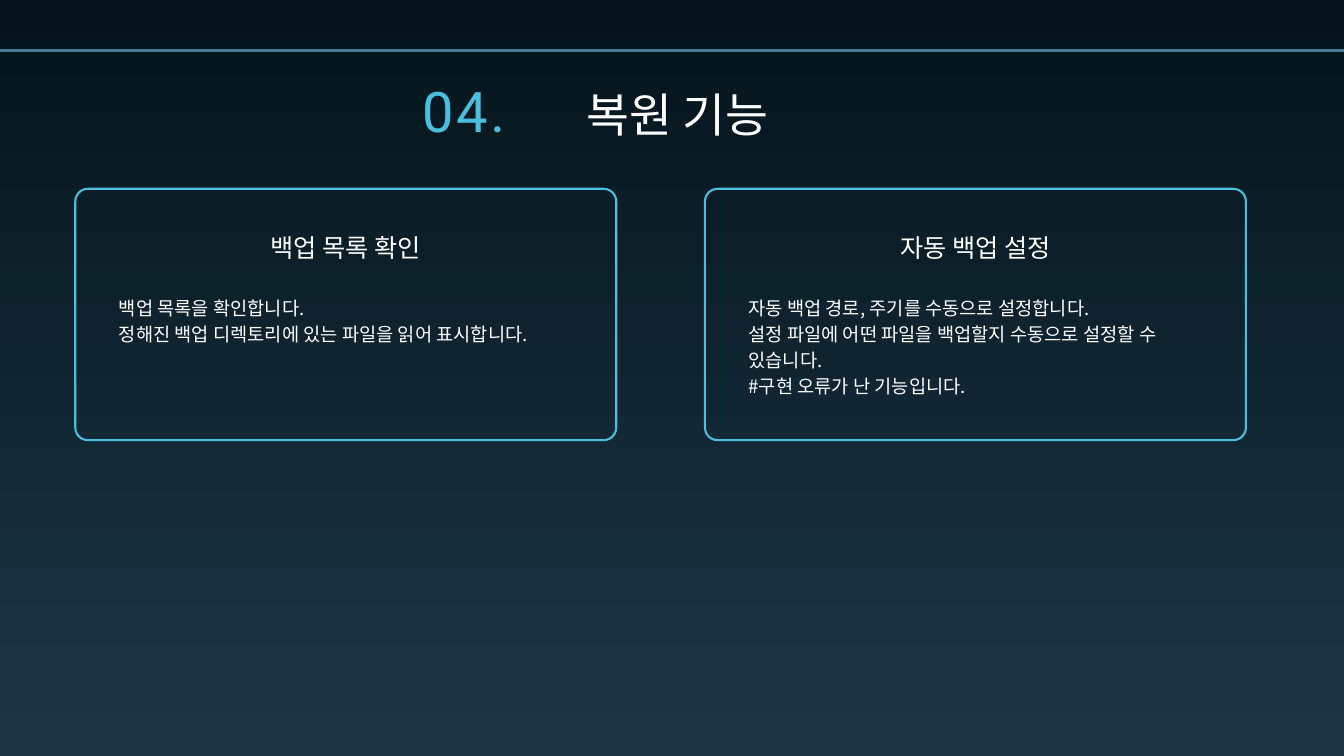
from lxml import etree
from pptx import Presentation
from pptx.dml.color import RGBColor
from pptx.enum.shapes import MSO_CONNECTOR, MSO_SHAPE
from pptx.enum.text import MSO_ANCHOR, MSO_AUTO_SIZE, PP_ALIGN
from pptx.oxml.ns import qn
from pptx.util import Inches, Pt

LEFT, CENTER = PP_ALIGN.LEFT, PP_ALIGN.CENTER
TOP = MSO_ANCHOR.TOP
FIXED = MSO_AUTO_SIZE.NONE
STRAIGHT = MSO_CONNECTOR.STRAIGHT
ROUND = MSO_SHAPE.ROUNDED_RECTANGLE

COLORS = {
    "top": "05141C",
    "base": "1C3645",
    "rule": "497B97",
    "cyan": "4AC0DE",
    "white": "FFFFFF",
}
HEAD_FONT = "Noto Sans CJK KR"
BODY_FONT = "Noto Sans CJK SC"
NUM_FONT = "Roboto"

CARD_LEFT, CARD_TOP = 1.12, 2.81
CARD_WIDTH, CARD_HEIGHT = 8.05, 3.74
CARD_STEP = 9.37
CARDS = [
    ("백업 목록 확인",
     ["백업 목록을 확인합니다.",
      "정해진 백업 디렉토리에 있는 파일을 읽어 표시합니다."]),
    ("자동 백업 설정",
     ["자동 백업 경로, 주기를 수동으로 설정합니다.",
      "설정 파일에 어떤 파일을 백업할지 수동으로 설정할 수 있습니다.",
      "#구현 오류가 난 기능입니다."]),
]


def color(name):
    return RGBColor.from_string(COLORS[name])


def paint_back(slide):
    fill = slide.background.fill
    fill.gradient()
    fill.gradient_angle = 270
    for stop, name in zip(fill.gradient_stops, ("top", "base")):
        stop.color.rgb = color(name)


def add_rule(slide, y, width):
    rule = slide.shapes.add_connector(
        STRAIGHT, 0, Inches(y), width, Inches(y))
    rule.line.color.rgb = color("rule")
    rule.line.width = Pt(3)
    etree.SubElement(rule._element.spPr, qn("a:effectLst"))


def place(shape, left, top, width, height):
    shape.left, shape.top = Inches(left), Inches(top)
    shape.width, shape.height = Inches(width), Inches(height)


def set_text(shape, lines, size, pitch, font, align=CENTER, hue="white",
             track=0):
    """Fill a shape with lines at a fixed pitch, without bullets or insets."""
    frame = shape.text_frame
    frame.text = "\n".join(lines)
    frame.word_wrap = True
    frame.auto_size = FIXED
    frame.vertical_anchor = TOP
    frame.margin_left = frame.margin_right = 0
    frame.margin_top = frame.margin_bottom = 0
    for para in frame.paragraphs:
        props = para._p.get_or_add_pPr()
        props.set("marL", "0")
        props.set("indent", "0")
        etree.SubElement(props, qn("a:buNone"))
        para.alignment = align
        para.line_spacing = Pt(pitch)
        para.space_before = para.space_after = Pt(0)
        for run in para.runs:
            run.font.name = font
            run.font.size = Pt(size)
            run.font.bold = False
            run.font.color.rgb = color(hue)
            east = etree.SubElement(run.font._element, qn("a:ea"))
            east.set("typeface", font)
            if track:
                run.font._element.set("spc", str(track * 100))


def add_card(slide, left, head, body, title, lines):
    card = slide.shapes.add_shape(
        ROUND, Inches(left), Inches(CARD_TOP),
        Inches(CARD_WIDTH), Inches(CARD_HEIGHT))
    card.adjustments[0] = 0.05
    card.shadow.inherit = False
    card.fill.background()
    card.line.color.rgb = color("cyan")
    card.line.width = Pt(2.25)
    place(head, left + 0.68, 3.3, 6.69, 0.57)
    set_text(head, [title], 27, 43.2, HEAD_FONT)
    place(body, left + 0.65, 4.36, 6.77, 0.39 * (len(lines) + 1))
    set_text(body, lines, 20, 28, BODY_FONT, LEFT)


def main():
    deck = Presentation()
    deck.slide_width, deck.slide_height = Inches(20), Inches(11.25)
    compare = deck.slide_layouts.get_by_name("Comparison")
    slide = deck.slides.add_slide(compare)
    paint_back(slide)
    add_rule(slide, 0.75, deck.slide_width)

    title = slide.shapes.title
    place(title, 2.23, 1.27, 15.71, 0.85)
    set_text(title, ["복원 기능"], 50, 60, HEAD_FONT)
    number = slide.shapes.add_textbox(
        Inches(6.11), Inches(1.06), Inches(1.58), Inches(1.06))
    set_text(number, ["04."], 60, 78, NUM_FONT, hue="cyan", track=3)

    slots = list(slide.placeholders)[1:]
    for i, (head, lines) in enumerate(CARDS):
        add_card(slide, CARD_LEFT + i * CARD_STEP,
                 slots[2 * i], slots[2 * i + 1], head, lines)
    deck.save("out.pptx")


if __name__ == "__main__":
    main()
